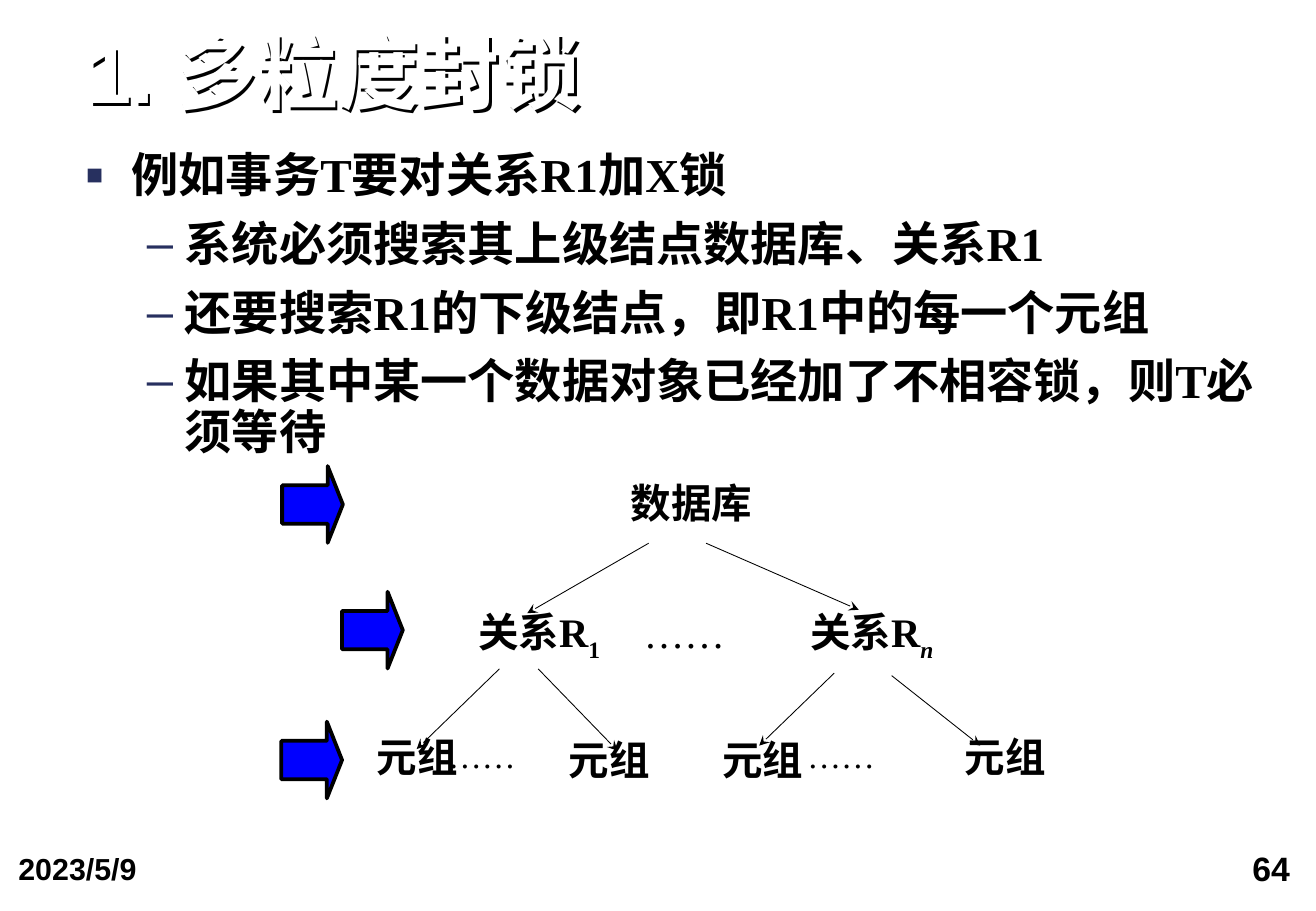
from lxml import etree
from pptx import Presentation, util as u
from pptx.dml.color import RGBColor
from pptx.enum import shapes, text
from pptx.oxml import ns

SERIF = "Times New Roman"
SANS = "Arial"
BLACK = "000000"


def colour(value):
    """Turn a hex string into a colour."""
    return RGBColor.from_string(value)


def add_element(parent, tag, **attributes):
    """Append a drawing element to a parent and return it."""
    return etree.SubElement(parent, ns.qn(tag), attributes)


def place(shape, left, top, width, height):
    """Set the position and size of a shape in points."""
    shape.left, shape.top = u.Pt(left), u.Pt(top)
    shape.width, shape.height = u.Pt(width), u.Pt(height)


def style(font, size, name=SERIF, tint=BLACK, bold=True):
    """Format a font."""
    font.size, font.name, font.bold = u.Pt(size), name, bold
    font.color.rgb = colour(tint)


def set_insets(frame, across, down):
    """Set the side and the top and bottom insets of a text frame."""
    frame.margin_left = frame.margin_right = u.Pt(across)
    frame.margin_top = frame.margin_bottom = u.Pt(down)


def add_title(page, words):
    """Fill the title with white text that casts a hard shadow."""
    title = page.shapes.title
    place(title, 51, 20, 695, 52)
    title.fill.background()
    effects = add_element(title.element.spPr, "a:effectLst")
    shadow = add_element(effects, "a:outerShdw", dist=str(u.Pt(2)), dir="2700000", algn="ctr")
    add_element(shadow, "a:srgbClr", val=BLACK)
    frame = title.text_frame
    set_insets(frame, 0, 0)
    frame.auto_size = text.MSO_AUTO_SIZE.SHAPE_TO_FIT_TEXT
    frame.vertical_anchor = text.MSO_ANCHOR.BOTTOM
    frame.text = words
    para = frame.paragraphs[0]
    para.alignment = text.PP_ALIGN.LEFT
    para.line_spacing = 0.9
    style(para.runs[0].font, 48, SANS, "FFFFFF")


def add_bullet(para, mark, percent, indent, hanging):
    """Give a paragraph a coloured bullet and a hanging indent."""
    properties = para._p.get_or_add_pPr()
    properties.set("marL", str(u.Pt(indent)))
    properties.set("indent", str(-u.Pt(hanging)))
    add_element(add_element(properties, "a:buClr"), "a:srgbClr", val="27305F")
    add_element(properties, "a:buSzPct", val=str(percent * 1000))
    add_element(properties, "a:buFont", typeface=SANS)
    add_element(properties, "a:buChar", char=mark)


def add_list(page, items):
    """Fill the body with one heading bullet and its dashed points."""
    body = page.placeholders[1]
    place(body, 51, 90, 695, 186.5)
    frame = body.text_frame
    set_insets(frame, 0, 0)
    frame.auto_size = text.MSO_AUTO_SIZE.SHAPE_TO_FIT_TEXT
    frame.text = "\n".join(items)
    for index, para in enumerate(frame.paragraphs):
        if index:
            para.level = 1
            add_bullet(para, "–", 100, 58.5, 22.5)
        else:
            add_bullet(para, "■", 60, 27, 27)
        para.alignment = text.PP_ALIGN.LEFT
        para.line_spacing = 0.9
        para.space_before = u.Pt(10.5 if index else 0)
        style(para.runs[0].font, 28)


def add_label(page, bounds, words, size, align, name=SERIF, bold=True):
    """Add a wrapped text box and return its paragraph."""
    box = page.shapes.add_textbox(0, 0, 0, 0)
    place(box, *bounds)
    frame = box.text_frame
    frame.word_wrap = True
    para = frame.paragraphs[0]
    para.text = words
    para.alignment = align
    style(para.runs[0].font, size, name, bold=bold)
    return para


def add_node(page, left, top, width, words, subscript="", italic=False):
    """Add a tree node, with a subscript if it has one."""
    para = add_label(page, (left, top, width, 42), words, 24, text.PP_ALIGN.CENTER)
    para.line_spacing = 0.96
    if subscript:
        span = para.add_run()
        span.text = subscript
        style(span.font, 24)
        span.font.italic = italic
        span.font._element.set("baseline", "-25000")


def add_dots(page, left, top, size):
    """Add the ellipsis between two sibling nodes."""
    para = add_label(page, (left, top, 114.5, 35), "……", size, text.PP_ALIGN.JUSTIFY, bold=False)
    para.line_spacing = 0.96


def add_footer(page, bounds, words, size, align):
    """Add a footer text at the foot of the slide."""
    para = add_label(page, bounds, words, size, align, SANS)
    set_insets(page.shapes[-1].text_frame, 9.4, 4.3)
    return para


def add_branch(page, *ends):
    """Draw a thin arrow from a parent node to a child."""
    branch = page.shapes.add_connector(shapes.MSO_CONNECTOR.STRAIGHT, *map(u.Pt, ends))
    branch.line.color.rgb = colour(BLACK)
    branch.line.width = u.Pt(0.5)
    add_element(branch.line._get_or_add_ln(), "a:tailEnd", type="stealth")
    add_element(branch._element.spPr, "a:effectLst")


def add_level_arrow(page, left, top):
    """Add a blue block arrow that points at a tree level."""
    arrow = page.shapes.add_shape(shapes.MSO_SHAPE.DOWN_ARROW, 0, 0, 0, 0)
    place(arrow, left, top, 45.5, 36)
    arrow.rotation = 270
    arrow.adjustments[0], arrow.adjustments[1] = 0.5, 0.25
    arrow.shadow.inherit = False
    arrow.fill.solid()
    arrow.fill.fore_color.rgb = colour("0000FF")
    arrow.line.color.rgb = colour(BLACK)
    arrow.line.width = u.Pt(2.25)


def add_tree(page):
    """Draw the tree of database, relations and tuples."""
    for ends in (
        (384.5, 322, 312.5, 363.5),
        (418.5, 322, 509, 361.5),
        (296, 396.5, 247, 444),
        (319, 396.5, 366, 445),
        (494.5, 399, 450, 442),
        (528.5, 400.5, 581, 442),
    ):
        add_branch(page, *ends)
    add_node(page, 353.5, 281.5, 112.5, "数据库")
    add_node(page, 254, 356.5, 131, "关系R", "1")
    add_node(page, 459.5, 356.5, 114.5, "关系R", "n", italic=True)
    for left, top, width in ((203, 432, 88.5), (317, 434, 88.5), (408, 434, 88.5), (539.5, 432, 112.5)):
        add_node(page, left, top, width, "元组")
    for left, top, size in ((374.5, 358.5, 24), (258.5, 433.5, 20), (471.5, 433.5, 20)):
        add_dots(page, left, top, size)
    for left, top in ((162.5, 281), (198, 355.5), (162, 432.5)):
        add_level_arrow(page, left, top)


def main():
    """Build the slide and save it."""
    deck = Presentation()
    deck.slide_width, deck.slide_height = u.Pt(780), u.Pt(540)
    page = deck.slides.add_slide(deck.slide_layouts[1])
    add_title(page, "1. 多粒度封锁")
    add_list(page, (
        "例如事务T要对关系R1加X锁",
        "系统必须搜索其上级结点数据库、关系R1",
        "还要搜索R1的下级结点，即R1中的每一个元组",
        "如果其中某一个数据对象已经加了不相容锁，则T必须等待",
    ))
    add_tree(page)
    add_footer(page, (1.5, 499.5, 180.5, 45), "2023/5/9", 18, text.PP_ALIGN.LEFT)
    add_footer(page, (576.5, 498, 197.5, 42), "64", 20, text.PP_ALIGN.RIGHT)
    deck.save("out.pptx")


if __name__ == "__main__":
    main()
